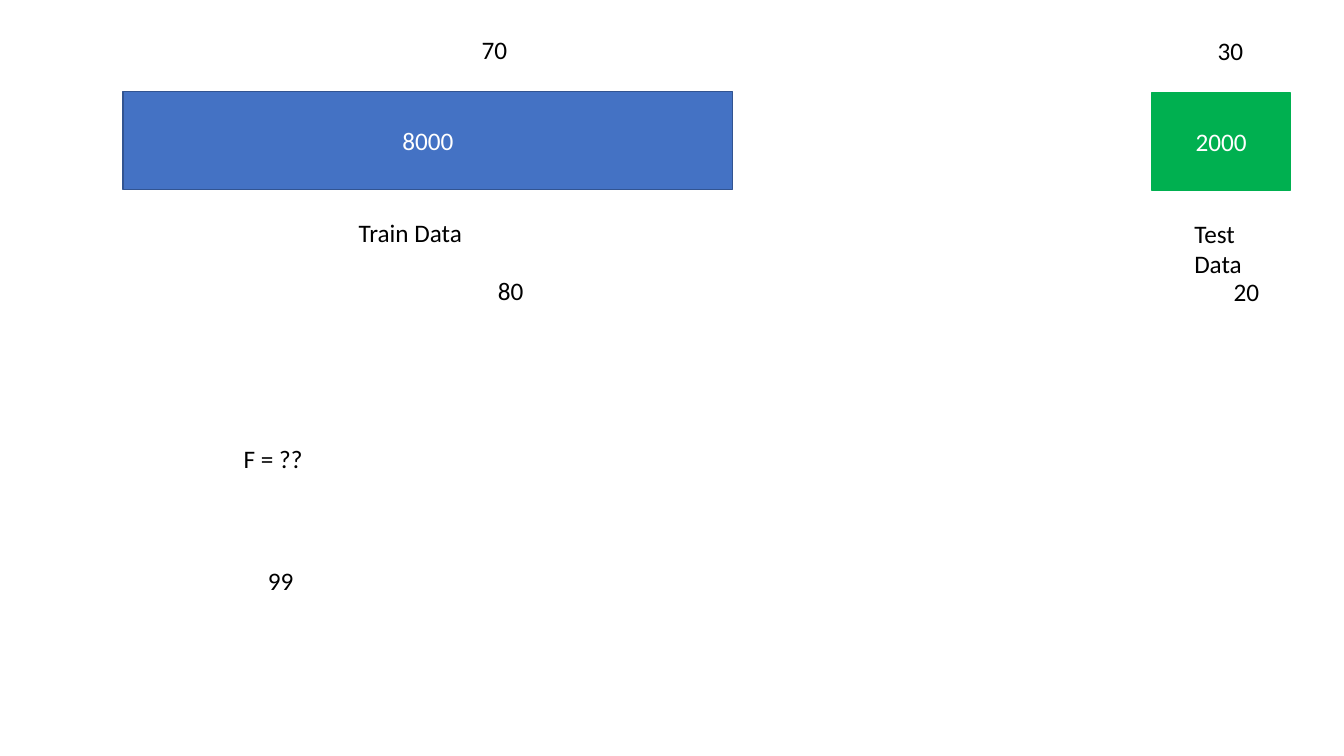
import pptx
import pptx.util
import pptx.dml.color
import pptx.enum.shapes
import pptx.enum.text

Pt = pptx.util.Pt
COLORS = {"train": "4472C4", "edge": "325491", "test": "00B050",
          "light": "FFFFFF", "dark": "000000"}


def color(name):
    return pptx.dml.color.RGBColor.from_string(COLORS[name])


def write(frame, text, ink):
    run = frame.paragraphs[0].add_run()
    run.text = text
    run.font.name = "Calibri"
    run.font.size = Pt(18)
    run.font.color.rgb = color(ink)


def label(slide, text, left, top, width, height=29):
    box = slide.shapes.add_textbox(Pt(left), Pt(top), Pt(width), Pt(height))
    frame = box.text_frame
    frame.word_wrap = False
    frame.auto_size = pptx.enum.text.MSO_AUTO_SIZE.SHAPE_TO_FIT_TEXT
    write(frame, text, "dark")


def bar(slide, box, count, fill, edge):
    shape = slide.shapes.add_shape(
        pptx.enum.shapes.MSO_SHAPE.RECTANGLE, *map(Pt, box))
    shape.shadow.inherit = False
    shape.fill.solid()
    shape.fill.fore_color.rgb = color(fill)
    shape.line.color.rgb = color(edge)
    shape.line.width = Pt(1)
    frame = shape.text_frame
    frame.vertical_anchor = pptx.enum.text.MSO_ANCHOR.MIDDLE
    frame.paragraphs[0].alignment = pptx.enum.text.PP_ALIGN.CENTER
    write(frame, count, "light")


def part(slide, box, count, fill, edge, name, shares, indent):
    """Draw one part of the data split: its bar, name and two shares.

    indent gives the offsets of the upper share and the name from the bar.
    """
    left, top, _, height = box
    share_in, name_in = indent
    upper, lower = shares
    bar(slide, box, count, fill, edge)
    label(slide, upper, left + share_in, top - 44.6, 33)
    label(slide, name, left + name_in, top + height + 16.3, 9 * len(name))
    label(slide, lower, left + share_in + 11.5, top + height + 57.5, 33)


def notes(slide, left, top):
    label(slide, "F = ??", left, top, 57)
    label(slide, "99", left + 17.3, top + 87.1, 33, 51)


def main():
    deck = pptx.Presentation()
    deck.slide_width, deck.slide_height = Pt(960), Pt(540)
    slide = deck.slides.add_slide(deck.slide_layouts[6])
    part(slide, (87.8, 65.5, 435.6, 69.8), "8000", "train", "edge",
         "Train Data", ("70", "80"), (249.2, 161.3))
    part(slide, (823, 66.2, 98.6, 69.8), "2000", "test", "test",
         "Test Data", ("30", "20"), (39.6, 23))
    notes(slide, 167, 313.2)
    deck.save("out.pptx")


if __name__ == "__main__":
    main()
